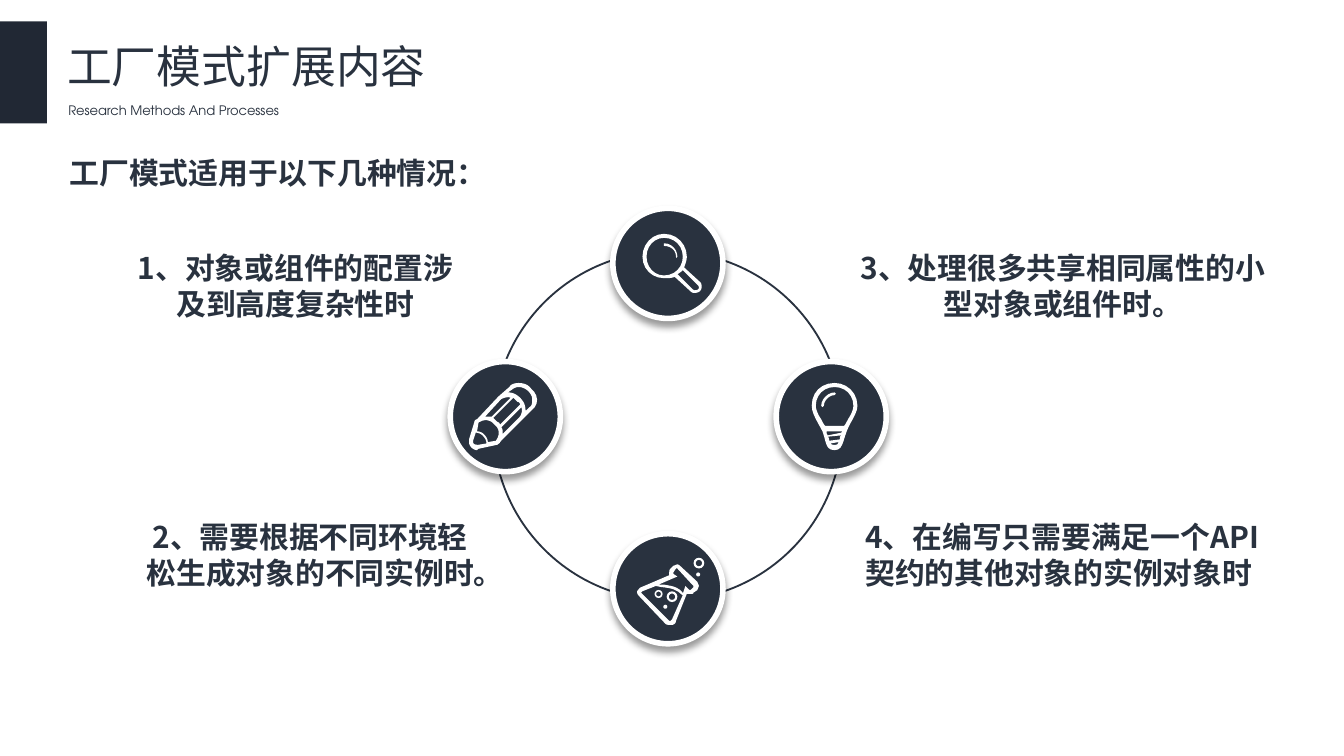
from lxml import etree
from pptx import Presentation
from pptx.dml.color import RGBColor
from pptx.enum.shapes import MSO_SHAPE as Shape
from pptx.enum.text import MSO_ANCHOR, MSO_AUTO_SIZE, PP_ALIGN as Align
from pptx.oxml import parse_xml
from pptx.oxml.ns import nsdecls, qn
from pptx.util import Pt

INK = RGBColor(0x29, 0x32, 0x3F)
TAB = RGBColor(0x21, 0x28, 0x34)
WHITE = RGBColor(0xFF, 0xFF, 0xFF)
CHINESE = "Noto Sans CJK SC"
LATIN = "TeX Gyre Adventor"

TITLE = "工厂模式扩展内容"
SUBTITLE = "Research Methods And Processes"
HEADING = "工厂模式适用于以下几种情况："
# text, (left, top, width, height), alignment
CASES = [
    ("1、对象或组件的配置涉及到高度复杂性时", (64.8, 130.3, 187.2, 46), Align.CENTER),
    ("2、需要根据不同环境轻松生成对象的不同实例时。", (69.1, 274.3, 194.4, 46), Align.CENTER),
    ("3、处理很多共享相同属性的小型对象或组件时。", (451.4, 130.3, 236.2, 46), Align.CENTER),
    ("4、在编写只需要满足一个API契约的其他对象的实例对象时", (456.5, 274.3, 240.5, 46), Align.LEFT),
]

RING_CENTER, RING_RADIUS = (357.8, 228.2), 93.6
BADGE_RADIUS = 29.5
BADGE_CENTERS = [(357.8, 141.1), (270.7, 223.2), (445.3, 223.2), (357.8, 315.4)]

# Each icon is a list of outlines, each outline a list of contours on a grid of 0.72 pt.
# A contour starts at a point; L draws a line, C a Bezier curve.
GRID = 0.72
MAGNIFIER = [
    ["16 31 C 24 31 30 25 30 17 C 30 9 24 3 16 3 C 9 3 3 9 3 17 C 3 25 9 31 16 31",
     """37 41 C 38 42 39 42 39 42 C 41 42 42 41 42 40 C 42 39 41 38 41 38
     L 30 27 C 29 28 28 29 26 30 L 37 41""",
     """16 0 C 26 0 33 8 33 17 C 33 20 32 22 31 25 L 43 36 C 44 37 44 38 44 40
     C 44 42 42 44 39 44 C 38 44 37 44 36 43 L 24 32 C 22 33 19 33 16 33
     C 7 33 0 26 0 17 C 0 8 7 0 16 0"""],
    ["16 7 C 22 7 26 12 26 17 L 25 18 L 25 17 C 25 12 21 9 16 9 L 16 7"],
]
PENCIL = [
    ["""45 18 L 42 21 C 42 20 43 20 42 20 C 42 17 41 14 38 11 C 36 9 33 7 29 7
     L 32 5 C 33 4 35 3 37 3 C 39 3 42 4 44 6 C 46 8 47 10 47 12 C 47 15 47 17 45 18""",
     """14 44 C 14 42 13 40 11 38 C 10 37 8 36 6 36 L 7 30 C 7 30 7 29 8 29
     C 11 27 16 27 19 31 C 23 34 23 39 20 43 L 14 44""",
     "7 46 L 6 46 C 4 46 3 45 3 44 L 3 43 L 5 37 C 7 37 9 38 10 39 C 12 41 13 43 13 45 L 7 46",
     "17 25 C 15 25 14 25 12 25 L 24 12 C 26 11 29 10 31 11 L 17 25",
     """23 31 C 23 30 22 29 21 29 C 20 28 19 27 18 26 L 33 11
     C 34 12 35 13 36 14 C 37 14 38 15 38 16 L 23 31""",
     "25 37 C 25 35 25 34 24 33 L 39 18 C 40 21 39 24 37 26 L 25 38 L 25 37",
     """46 4 C 44 1 40 0 37 0 C 34 0 31 1 30 3 L 22 10 L 6 27 C 5 27 4 28 4 29
     L 0 42 L 0 44 C 0 47 3 50 6 50 L 7 49 L 21 46 C 22 45 23 45 23 44
     L 47 20 C 52 16 52 9 46 4"""],
]
BULB = [
    ["""24 32 L 10 32 C 9 31 8 29 7 27 C 5 24 3 20 3 17 C 3 9 9 3 17 3
     C 25 3 31 9 31 17 C 31 20 29 24 27 27 C 26 29 25 31 24 32""",
     "17 46 C 15 46 15 46 14 45 L 20 44 C 19 46 19 46 17 46",
     "12 39 C 11 38 11 37 11 36 L 23 36 L 22 37 L 12 39",
     "21 42 L 13 43 C 13 42 13 41 12 40 L 22 39 L 21 40 L 21 42",
     """17 0 C 7 0 0 7 0 17 C 0 23 5 30 8 36 C 11 44 10 50 17 50
     C 23 50 23 44 26 36 C 28 30 34 23 34 17 C 34 7 26 0 17 0"""],
    ["17 7 C 12 7 7 12 7 17 L 8 18 L 9 17 C 9 13 13 9 17 9 L 18 8 L 17 7"],
]
FLASK = [
    ["""42 17 L 40 19 L 39 19 L 36 16 L 34 22 L 34 21 C 30 16 25 16 20 15 L 16 15
     L 30 9 L 27 7 L 27 6 L 29 3 L 30 3 L 42 16 L 42 17""",
     "26 41 L 25 42 L 24 42 L 4 22 L 3 21 L 4 20 L 14 16 C 21 18 27 16 34 23 L 26 41",
     """32 1 C 32 1 31 0 30 0 C 29 0 28 1 27 1 L 25 3 C 24 4 24 5 24 6 L 24 8
     L 3 17 C 2 17 1 19 0 20 C 0 22 1 23 2 24 L 21 44 C 22 45 23 45 25 45
     L 26 45 C 27 45 29 44 29 42 L 37 22 L 40 22 C 41 22 42 22 42 21
     L 45 19 C 45 18 46 17 46 16 C 46 15 45 14 45 13 L 32 1"""],
]
ICONS = [
    (MAGNIFIER, (344.2, 125.3)),
    (PENCIL, (251.3, 205.2)),
    (BULB, (434.9, 205.2)),
    (FLASK, (341.3, 302.4)),
]
# Bubbles of the flask on the same grid: preset, centre x, centre y, radius
BUBBLES = [
    (Shape.DONUT, 26, 24, 4),
    (Shape.DONUT, 46, -1, 4),
    (Shape.DONUT, 16, 22, 3),
    (Shape.OVAL, 21, 31.5, 1.5),
    (Shape.OVAL, 45.5, 7.5, 1.5),
]


def paint(shape, fill=None, line=None, width=1):
    shape.shadow.inherit = False
    if fill is None:
        shape.fill.background()
    else:
        shape.fill.solid()
        shape.fill.fore_color.rgb = fill
    if line is None:
        shape.line.fill.background()
    else:
        shape.line.color.rgb = line
        shape.line.width = Pt(width)


def add_round(slide, preset, center_x, center_y, radius):
    return slide.shapes.add_shape(preset, Pt(center_x - radius), Pt(center_y - radius),
                                  Pt(2 * radius), Pt(2 * radius))


def add_badge_shadow(shape):
    effects = shape._element.spPr.find(qn("a:effectLst"))
    effects.append(parse_xml(
        f'<a:outerShdw {nsdecls("a")} blurRad="{Pt(4)}" dist="{Pt(3)}" dir="5400000" '
        'algn="t" rotWithShape="0"><a:srgbClr val="000000"><a:alpha val="40000"/>'
        '</a:srgbClr></a:outerShdw>'))


def flatten(contour, steps=6):
    """Turn a contour into a list of points, with its curves cut into short lines."""
    start, *moves = contour.replace("L", "|L").replace("C", "|C").split("|")
    points = [tuple(map(float, start.split()))]
    for move in moves:
        numbers = list(map(float, move[1:].split()))
        pairs = list(zip(numbers[::2], numbers[1::2]))
        if move[0] == "L":
            points += pairs
            continue
        curve = [points[-1]] + pairs
        for step in range(1, steps + 1):
            t = step / steps
            weights = ((1 - t) ** 3, 3 * t * (1 - t) ** 2, 3 * t * t * (1 - t), t ** 3)
            points.append(tuple(sum(w * p[axis] for w, p in zip(weights, curve))
                                for axis in (0, 1)))
    return [(Pt(x * GRID), Pt(y * GRID)) for x, y in points]


def add_outline(slide, outline, left, top):
    first, *others = map(flatten, outline)
    builder = slide.shapes.build_freeform(*first[0], scale=1.0)
    builder.add_line_segments(first[1:], close=True)
    for points in others:
        builder.move_to(*points[0])
        builder.add_line_segments(points[1:], close=True)
    paint(builder.convert_to_shape(Pt(left), Pt(top)), WHITE)


def set_text(shape, text, box, size, font=CHINESE, bold=False, align=Align.LEFT, wrap=True):
    shape.left, shape.top, shape.width, shape.height = map(Pt, box)
    frame = shape.text_frame
    frame.text = text
    frame.word_wrap = wrap
    frame.auto_size = MSO_AUTO_SIZE.SHAPE_TO_FIT_TEXT
    frame.vertical_anchor = MSO_ANCHOR.TOP
    paragraph = frame.paragraphs[0]
    paragraph.alignment = align
    paragraph.font.name = font
    paragraph.font.size = Pt(size)
    paragraph.font.bold = bold
    paragraph.font.color.rgb = INK
    latin = paragraph._p.pPr.find(qn("a:defRPr")).find(qn("a:latin"))
    east_asian = etree.Element(qn("a:ea"), typeface=font)
    latin.addnext(east_asian)


def add_text(slide, *args, **options):
    set_text(slide.shapes.add_textbox(0, 0, 0, 0), *args, **options)


def main():
    presentation = Presentation()
    presentation.slide_width, presentation.slide_height = Pt(720), Pt(405)
    slide = presentation.slides.add_slide(presentation.slide_layouts[5])

    set_text(slide.shapes.title, TITLE, (28.8, 17.3, 206.6, 36), 24, wrap=False)
    paint(slide.shapes.add_shape(Shape.RECTANGLE, 0, Pt(11.5), Pt(25.2), Pt(54.7)), TAB)
    add_text(slide, SUBTITLE, (29.5, 51.1, 129.6, 15.8), 7, font=LATIN, wrap=False)
    add_text(slide, HEADING, (29.5, 79.2, 239, 26.6), 16, bold=True,
             align=Align.CENTER, wrap=False)

    paint(add_round(slide, Shape.OVAL, *RING_CENTER, RING_RADIUS), line=INK)
    for center in BADGE_CENTERS:
        badge = add_round(slide, Shape.OVAL, *center, BADGE_RADIUS)
        paint(badge, INK, WHITE, 3)
        add_badge_shadow(badge)
    for outlines, origin in ICONS:
        for outline in outlines:
            add_outline(slide, outline, *origin)
    flask_left, flask_top = ICONS[-1][1]
    for preset, x, y, radius in BUBBLES:
        bubble = add_round(slide, preset, flask_left + x * GRID, flask_top + y * GRID,
                           radius * GRID)
        if preset == Shape.DONUT:
            bubble.adjustments[0] = 0.2
        paint(bubble, WHITE)

    for text, box, align in CASES:
        add_text(slide, text, box, 16, bold=True, align=align)
    presentation.save("out.pptx")


if __name__ == "__main__":
    main()
